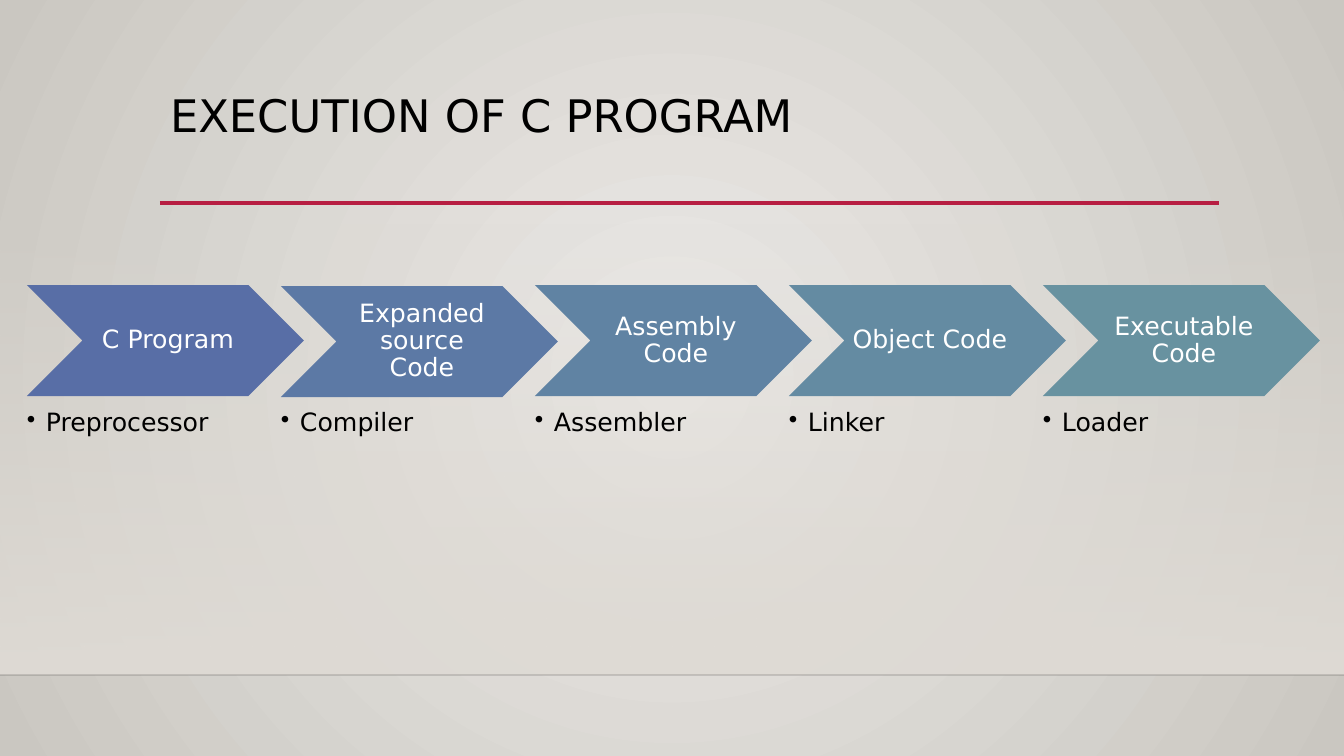
import dataclasses

import lxml.etree
import pptx
import pptx.dml.color
import pptx.enum.shapes
import pptx.enum.text
import pptx.oxml
import pptx.oxml.ns
import pptx.util

WIDE, HIGH = 1344, 756
SCALE = 12192000 / WIDE
FONT = "DejaVu Sans"
COLORS = {
    "black": "000000",
    "white": "FFFFFF",
    "rule": "B71E42",
    "edge": "000001",
    "floor": "DFDBD5",
    "light": "ECEAE7",
    "dark": "CAC7C1",
}
ALIGN = pptx.enum.text.PP_ALIGN
ANCHOR = pptx.enum.text.MSO_ANCHOR
SHAPE = pptx.enum.shapes.MSO_SHAPE


@dataclasses.dataclass
class Step:
    label: str
    tool: str
    color: str
    top: int = 285


STEPS = [
    Step("C Program", "Preprocessor", "586EA6"),
    Step("Expanded source Code", "Compiler", "5C79A5", 286),
    Step("Assembly Code", "Assembler", "6083A3"),
    Step("Object Code", "Linker", "648BA2"),
    Step("Executable Code", "Loader", "6892A0"),
]
LEFT, PITCH = 27, 254
CHEVRON = (277, 111)
LIST_TOP, LIST_SIZE = 410, (222, 129)
INDENT = 19


def px(count: int) -> int:
    return round(count * SCALE)


def rgb(code: str) -> pptx.dml.color.RGBColor:
    return pptx.dml.color.RGBColor.from_string(code)


def add_node(parent, tag: str, **attrs: str):
    node = lxml.etree.SubElement(parent, pptx.oxml.ns.qn(tag))
    for key, value in attrs.items():
        node.set(key, value)
    return node


def set_alpha(root, index: int, percent: int) -> None:
    color = list(root.iter(pptx.oxml.ns.qn("a:srgbClr")))[index]
    add_node(color, "a:alpha", val=str(percent * 1000))


def set_blend(fill, root, start: str, end: str, round_blend: bool):
    """Give root a two-stop gradient, from the centre or downwards."""
    fill.gradient()
    grad = next(root.iter(pptx.oxml.ns.qn("a:gradFill")))
    for child in list(grad):
        grad.remove(child)
    stops = add_node(grad, "a:gsLst")
    for pos, code in (("0", start), ("100000", end)):
        add_node(add_node(stops, "a:gs", pos=pos), "a:srgbClr", val=code)
    if round_blend:
        way = add_node(grad, "a:path", path="circle")
        add_node(way, "a:fillToRect", **dict.fromkeys("ltrb", "50000"))
    else:
        add_node(grad, "a:lin", ang="5400000", scaled="0")
    return grad


def add_line(slide, x1: int, x2: int, y: int, color: str, width: float):
    line = slide.shapes.add_connector(
        pptx.enum.shapes.MSO_CONNECTOR.STRAIGHT, px(x1), px(y), px(x2), px(y))
    line.line.color.rgb = rgb(color)
    line.line.width = pptx.util.Pt(width)
    add_node(line.element.spPr, "a:effectLst")
    return line


def add_block(slide, kind, x: int, y: int, size: tuple[int, int]):
    block = slide.shapes.add_shape(kind, px(x), px(y), *map(px, size))
    block.shadow.inherit = False
    block.line.fill.background()
    return block


def set_text(shape, text: str, *, size: int = 18, color: str = "black",
             align=ALIGN.LEFT, anchor=ANCHOR.TOP,
             inset: tuple[int, int, int, int] = (0, 0, 0, 0),
             bullet: bool = False) -> None:
    frame = shape.text_frame
    frame.word_wrap = True
    frame.auto_size = pptx.enum.text.MSO_AUTO_SIZE.NONE
    frame.vertical_anchor = anchor
    (frame.margin_left, frame.margin_top,
     frame.margin_right, frame.margin_bottom) = map(px, inset)
    para = frame.paragraphs[0]
    para.alignment = align
    para.line_spacing = 0.9
    run = para.add_run()
    run.text = text
    run.font.size = pptx.util.Pt(size)
    run.font.name = FONT
    run.font.color.rgb = rgb(COLORS[color])
    if bullet:
        props = para._p.get_or_add_pPr()
        props.set("marL", str(px(INDENT)))
        props.set("indent", str(-px(INDENT)))
        add_node(props, "a:buChar", char="•")


def add_step(slide, step: Step, x: int) -> None:
    arrow = add_block(slide, SHAPE.CHEVRON, x, step.top, CHEVRON)
    arrow.fill.solid()
    arrow.fill.fore_color.rgb = rgb(step.color)
    set_text(arrow, step.label, color="white", align=ALIGN.CENTER,
             anchor=ANCHOR.MIDDLE, inset=(8, 3, 3, 3))
    note = slide.shapes.add_textbox(px(x), px(LIST_TOP), *map(px, LIST_SIZE))
    set_text(note, step.tool, bullet=True)


def main() -> None:
    deck = pptx.Presentation()
    deck.slide_width, deck.slide_height = px(WIDE), px(HIGH)
    slide = deck.slides.add_slide(deck.slide_layouts[5])

    # Background and floor
    set_blend(slide.background.fill, slide.element,
              COLORS["light"], COLORS["dark"], True)
    wall = add_block(slide, SHAPE.RECTANGLE, 0, 223, (WIDE, 452))
    blend = set_blend(wall.fill, wall.element,
                      COLORS["floor"], COLORS["floor"], False)
    set_alpha(blend, 0, 0)
    edge = add_line(slide, 0, WIDE, 675, COLORS["edge"], 1)
    set_alpha(edge.element.spPr, 0, 20)

    # Title and rule
    add_line(slide, 160, 1219, 203, COLORS["rule"], 2.5)
    title = slide.shapes.title
    title.left, title.top, title.width, title.height = map(
        px, (160, 89, 1058, 116))
    set_text(title, "EXECUTION OF C PROGRAM", size=32, inset=(10, 5, 10, 5))

    # Build steps
    for index, step in enumerate(STEPS):
        add_step(slide, step, LEFT + index * PITCH)

    deck.save("out.pptx")


if __name__ == "__main__":
    main()
